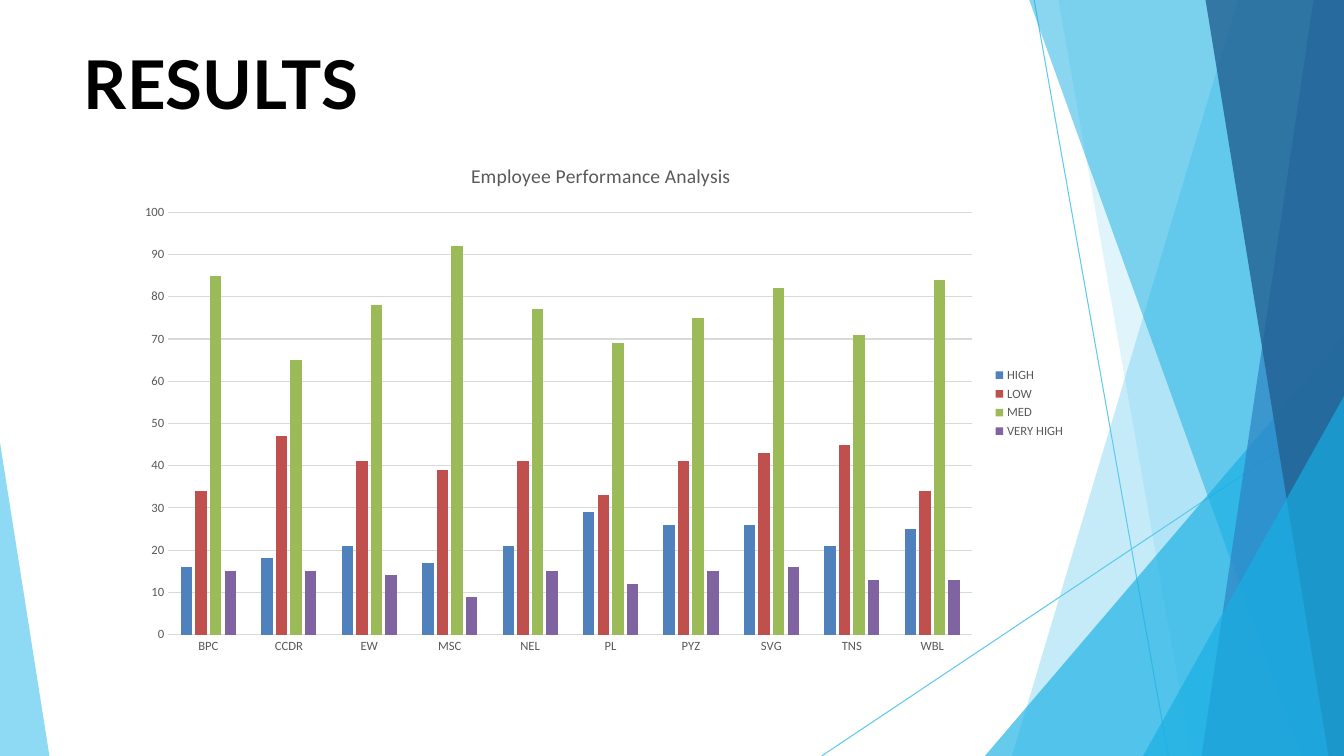
from lxml import etree
from pptx import Presentation
from pptx.chart.data import CategoryChartData
from pptx.dml.color import RGBColor
from pptx.enum.chart import XL_CHART_TYPE, XL_LEGEND_POSITION, XL_TICK_MARK
from pptx.enum.shapes import MSO_CONNECTOR
from pptx.enum.text import MSO_ANCHOR
from pptx.oxml.ns import qn
from pptx.util import Inches, Pt

COLUMNS = XL_CHART_TYPE.COLUMN_CLUSTERED
LEGEND_RIGHT = XL_LEGEND_POSITION.RIGHT
NO_TICK = XL_TICK_MARK.NONE
STRAIGHT = MSO_CONNECTOR.STRAIGHT
TOP = MSO_ANCHOR.TOP

BLACK = RGBColor(0x00, 0x00, 0x00)
TEXT_GREY = RGBColor(0x59, 0x59, 0x59)
GRID_GREY = RGBColor(0xD9, 0xD9, 0xD9)
SKY = RGBColor(0x5F, 0xCA, 0xEE)
CYAN = RGBColor(0x17, 0xAF, 0xE3)
BLUE = RGBColor(0x2D, 0x83, 0xC3)
NAVY = RGBColor(0x22, 0x61, 0x92)

# Boxes and points are percentages of the slide's width and height
SLIDE_BOX = (0, 0, 100, 100)
TITLE_BOX = (6.25, 5.56, 87.6, 11.11)
CHART_BOX = (9.38, 18.89, 70.65, 68.89)

RAYS = [((76.95, 0), (86.93, 100)), ((100, 53.87), (61.13, 100))]


def band(top_x, bottom_x):
    """Outline from a slanted left side to the right edge."""
    return [(100, 0), (top_x, 0), (bottom_x, 100), (100, 100)]


def wedge(peak_y, bottom_x):
    """Triangle in the lower right corner."""
    return [(100, peak_y), (bottom_x, 100), (100, 100)]


# Outline, colour, opacity in percent, from back to front
FACETS = [
    (band(92.1, 75.3), SKY, 36),
    (band(78.75, 88.65), SKY, 20),
    (wedge(44.4, 73.28), CYAN, 66),
    (band(76.58, 96.83), CYAN, 50),
    (band(97.73, 89.4), BLUE, 70),
    (band(89.7, 98.85), NAVY, 80),
    (wedge(52.4, 85.05), CYAN, 66),
    ([(0, 58.53), (0, 100), (3.68, 100)], SKY, 70),
]

TEAMS = ["BPC", "CCDR", "EW", "MSC", "NEL", "PL", "PYZ", "SVG", "TNS", "WBL"]
RATINGS = [
    ("HIGH", RGBColor(0x4F, 0x81, 0xBD), [16, 18, 21, 17, 21, 29, 26, 26, 21, 25]),
    ("LOW", RGBColor(0xC0, 0x50, 0x4D), [34, 47, 41, 39, 41, 33, 41, 43, 45, 34]),
    ("MED", RGBColor(0x9B, 0xBB, 0x59), [85, 65, 78, 92, 77, 69, 75, 82, 71, 84]),
    ("VERY HIGH", RGBColor(0x80, 0x64, 0xA2), [15, 15, 14, 9, 15, 12, 15, 16, 13, 13]),
]

prs = Presentation()
prs.slide_width, prs.slide_height = Inches(13.333), Inches(7.5)


def place(x, y):
    return round(prs.slide_width * x / 100), round(prs.slide_height * y / 100)


def frame(box):
    return (*place(*box[:2]), *place(*box[2:]))


def set_font(font, name, size, color, bold=False):
    font.color.rgb = color
    formats = {"name": name, "size": Pt(size), "bold": bold}
    for attribute, value in formats.items():
        setattr(font, attribute, value)


def set_line(line, color):
    line.color.rgb = color
    line.width = Pt(0.75)


def add_backdrop(slide, box):
    """Thin rays and translucent facets along the slide's sides."""
    left, top, width, height = box

    def within(point):
        return place(left + width * point[0] / 100, top + height * point[1] / 100)

    for start, end in RAYS:
        ray = slide.shapes.add_connector(STRAIGHT, *within(start), *within(end))
        set_line(ray.line, SKY)
        etree.SubElement(ray.line._get_or_add_ln().getparent(), qn("a:effectLst"))

    for outline, color, opacity in FACETS:
        corners = [within(point) for point in outline]
        builder = slide.shapes.build_freeform(*corners[0])
        builder.add_line_segments(corners[1:], close=True)
        facet = builder.convert_to_shape()
        facet.shadow.inherit = False
        facet.line.fill.background()
        facet.fill.solid()
        facet.fill.fore_color.rgb = color
        tint = facet.fill._xPr.find(".//" + qn("a:srgbClr"))
        etree.SubElement(tint, qn("a:alpha"), val=str(opacity * 1000))


def add_title(slide, box):
    frame_text = slide.shapes.add_textbox(*frame(box)).text_frame
    formats = {"word_wrap": True, "vertical_anchor": TOP, "margin_left": 0,
               "margin_top": 0, "margin_right": 0, "margin_bottom": 0}
    for attribute, value in formats.items():
        setattr(frame_text, attribute, value)
    heading = frame_text.paragraphs[0].add_run()
    heading.text = "RESULTS"
    set_font(heading.font, "Lato", 48, BLACK, bold=True)


def add_performance_chart(slide, box):
    data = CategoryChartData()
    data.categories = TEAMS
    for rating, _, counts in RATINGS:
        data.add_series(rating, counts)
    chart = slide.shapes.add_chart(COLUMNS, *frame(box), data).chart
    set_font(chart.font, "Calibri", 10, BLACK)

    # Chart title and legend
    chart.has_title = True
    caption = chart.chart_title.text_frame.paragraphs[0].add_run()
    caption.text = "Employee Performance Analysis"
    set_font(caption.font, "Calibri", 14, TEXT_GREY)
    chart.chart_title.include_in_layout = False
    chart.has_legend = True
    chart.legend.position = LEGEND_RIGHT
    chart.legend.include_in_layout = False
    set_font(chart.legend.font, "Calibri", 9, TEXT_GREY)

    # Axes
    teams, counts = chart.category_axis, chart.value_axis
    for axis in (teams, counts):
        axis.major_tick_mark = axis.minor_tick_mark = NO_TICK
        set_font(axis.tick_labels.font, "Calibri", 9, TEXT_GREY)
    set_line(teams.format.line, GRID_GREY)
    counts.format.line.fill.background()
    counts.has_major_gridlines = True
    set_line(counts.major_gridlines.format.line, GRID_GREY)
    scale = {"minimum_scale": 0, "maximum_scale": 100, "major_unit": 10}
    for attribute, value in scale.items():
        setattr(counts, attribute, value)

    # Columns
    plot = chart.plots[0]
    plot.vary_by_categories = False
    plot.gap_width, plot.overlap = 219, -27
    for series, (_, color, _) in zip(plot.series, RATINGS):
        series.format.fill.solid()
        series.format.fill.fore_color.rgb = color


def main():
    slide = prs.slides.add_slide(prs.slide_layouts[6])
    add_backdrop(slide, SLIDE_BOX)
    add_title(slide, TITLE_BOX)
    add_performance_chart(slide, CHART_BOX)
    prs.save("out.pptx")


if __name__ == "__main__":
    main()
